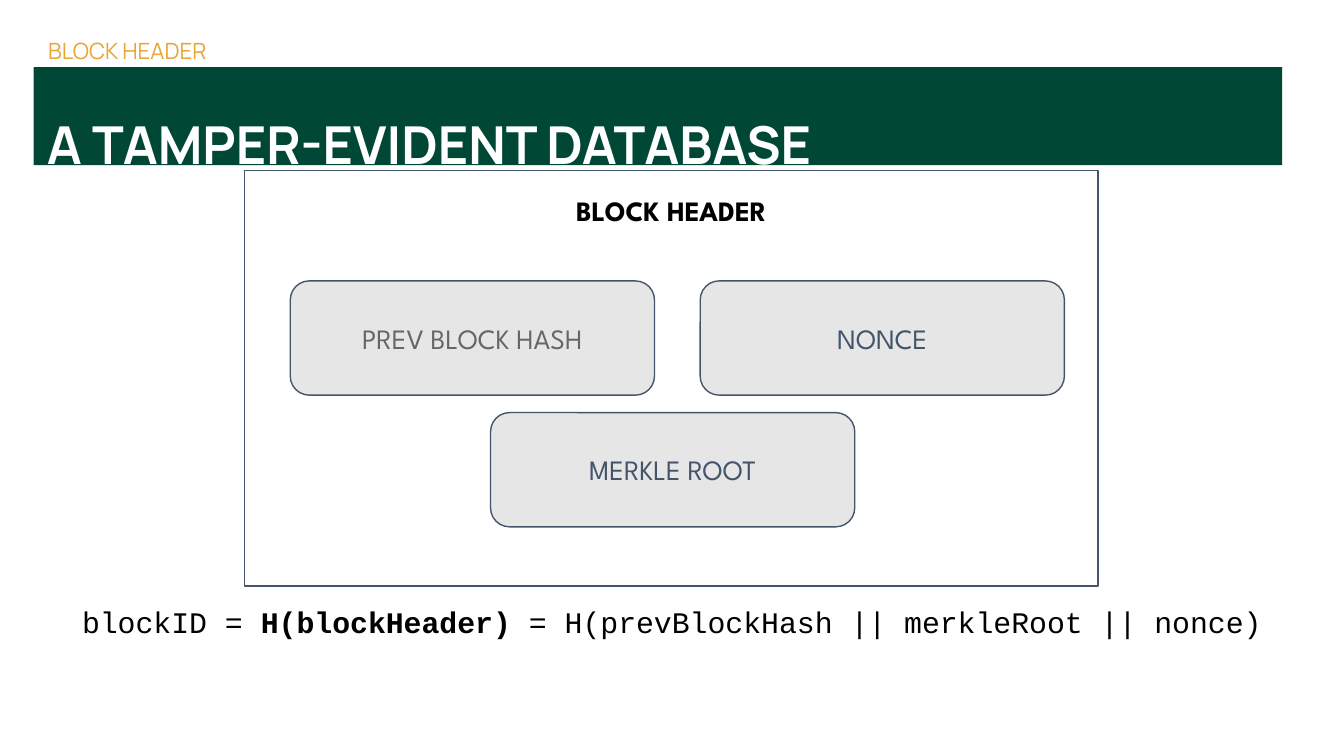
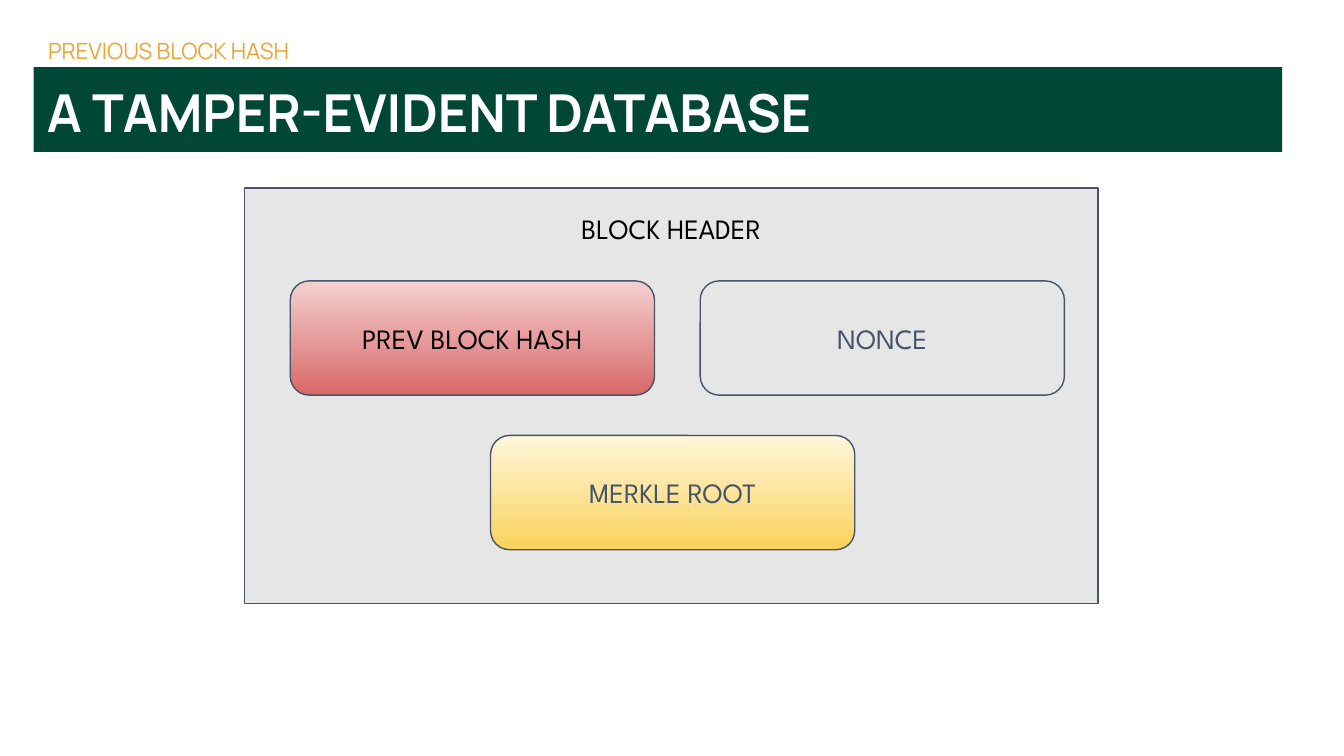
"""Build two slides about the block header of a tamper-evident database."""
from pptx import Presentation
from pptx.dml.color import RGBColor
from pptx.enum.shapes import MSO_SHAPE
from pptx.enum.text import MSO_ANCHOR, PP_ALIGN
from pptx.util import Inches, Pt

RECTANGLE, ROUNDED = MSO_SHAPE.RECTANGLE, MSO_SHAPE.ROUNDED_RECTANGLE
TOP, MIDDLE = MSO_ANCHOR.TOP, MSO_ANCHOR.MIDDLE
LEFT, CENTER = PP_ALIGN.LEFT, PP_ALIGN.CENTER

COLORS = {
    "green": "004735", "gold": "EAA536", "white": "FFFFFF", "black": "000000",
    "slate": "44546A", "gray": "666666", "pale": "E7E6E6",
    "pink": "F5D0D0", "red": "D96868", "cream": "FFF6DB", "yellow": "FAD25C",
}
TITLE = "A TAMPER-EVIDENT DATABASE"
PANEL_TITLE = "BLOCK HEADER"
FIELDS = ["PREV BLOCK HASH", "NONCE", "MERKLE ROOT"]
SLIDES = [
    {
        "topic": "BLOCK HEADER",
        "band_height": 0.73, "title_spacing": 1.5,
        "panel_top": 1.27, "panel_fill": None, "panel_bold": True,
        "field_fills": ["pale", "pale", "pale"],
        "field_colors": ["gray", "slate", "slate"],
        "merkle_top": 3.07,
        "formula": [("blockID = ", False), ("H(blockHeader)", True),
                    (" = H(prevBlockHash || merkleRoot || nonce)", False)],
    },
    {
        "topic": "PREVIOUS BLOCK HASH",
        "band_height": 0.63, "title_spacing": 1.0,
        "panel_top": 1.4, "panel_fill": "pale", "panel_bold": False,
        "field_fills": [("pink", "red"), "pale", ("cream", "yellow")],
        "field_colors": ["black", "slate", "slate"],
        "merkle_top": 3.24,
        "formula": None,
    },
]
SLIDE_WIDTH = 10
SLIDE_HEIGHT = SLIDE_WIDTH * 9 / 16
BAND_LEFT, BAND_TOP, BAND_WIDTH = 0.25, 0.5, 9.29
PANEL_LEFT, PANEL_WIDTH, PANEL_HEIGHT = 1.82, 6.35, 3.09
FIELD_WIDTH, FIELD_HEIGHT, FIELD_TOP = 2.71, 0.85, 2.09
FIELD_LEFTS = [2.16, 5.21, 3.65]


def rgb(name):
    return RGBColor.from_string(COLORS[name])


def add_text(shape, text, *, font, size, color, bold=False, align=CENTER,
             anchor=MIDDLE, inset=0.04, top_inset=None, spacing=None):
    frame = shape.text_frame
    frame.word_wrap = True
    frame.vertical_anchor = anchor
    frame.margin_left = frame.margin_right = frame.margin_bottom = Inches(inset)
    frame.margin_top = Inches(inset if top_inset is None else top_inset)
    paragraph = frame.paragraphs[0]
    paragraph.alignment = align
    paragraph.line_spacing = spacing
    for words, is_bold in [(text, bold)] if isinstance(text, str) else text:
        run = paragraph.add_run()
        run.text = words
        run.font.name, run.font.size = font, Pt(size)
        run.font.bold, run.font.color.rgb = is_bold, rgb(color)


def add_box(slide, kind, place, fill=None, line="slate"):
    shape = slide.shapes.add_shape(kind, *map(Inches, place))
    shape.shadow.inherit = False
    if fill is None:
        shape.fill.background()
    elif isinstance(fill, tuple):
        shape.fill.gradient()
        shape.fill.gradient_angle = 270
        for stop, name in zip(shape.fill.gradient_stops, fill):
            stop.color.rgb = rgb(name)
    else:
        shape.fill.solid()
        shape.fill.fore_color.rgb = rgb(fill)
    if line is None:
        shape.line.fill.background()
    else:
        shape.line.color.rgb = rgb(line)
        shape.line.width = Pt(0.75)
    return shape


def add_text_box(slide, place, text, **style):
    add_text(slide.shapes.add_textbox(*map(Inches, place)), text, **style)


def add_heading(slide, content):
    style = {"font": "Manrope", "align": LEFT, "anchor": TOP, "inset": 0.1}
    add_text_box(slide, (0.26, 0.21, BAND_WIDTH, 0.43), content["topic"],
                 size=12, color="gold", spacing=0.9, **style)
    band = add_box(slide, RECTANGLE,
                   (BAND_LEFT, BAND_TOP, BAND_WIDTH, content["band_height"]),
                   fill="green", line=None)
    add_text(band, TITLE, size=28, color="white", bold=True,
             spacing=content["title_spacing"], **style)


def add_block_header(slide, content):
    style = {"font": "League Spartan", "size": 15}
    panel = add_box(slide, RECTANGLE,
                    (PANEL_LEFT, content["panel_top"], PANEL_WIDTH, PANEL_HEIGHT),
                    fill=content["panel_fill"])
    add_text(panel, PANEL_TITLE, color="black", bold=content["panel_bold"],
             anchor=TOP, top_inset=0.17, **style)
    tops = [FIELD_TOP, FIELD_TOP, content["merkle_top"]]
    for label, left, top, fill, color in zip(
            FIELDS, FIELD_LEFTS, tops, content["field_fills"], content["field_colors"]):
        field = add_box(slide, ROUNDED, (left, top, FIELD_WIDTH, FIELD_HEIGHT), fill=fill)
        add_text(field, label, color=color, **style)


def main():
    presentation = Presentation()
    presentation.slide_width = Inches(SLIDE_WIDTH)
    presentation.slide_height = Inches(SLIDE_HEIGHT)
    for content in SLIDES:
        slide = presentation.slides.add_slide(presentation.slide_layouts[6])
        add_heading(slide, content)
        if content["formula"]:
            add_text_box(slide, (0.56, 4.45, 8.88, 0.41), content["formula"],
                         font="Courier New", size=16, color="black", anchor=TOP)
        add_block_header(slide, content)
    presentation.save("out.pptx")


if __name__ == "__main__":
    main()
